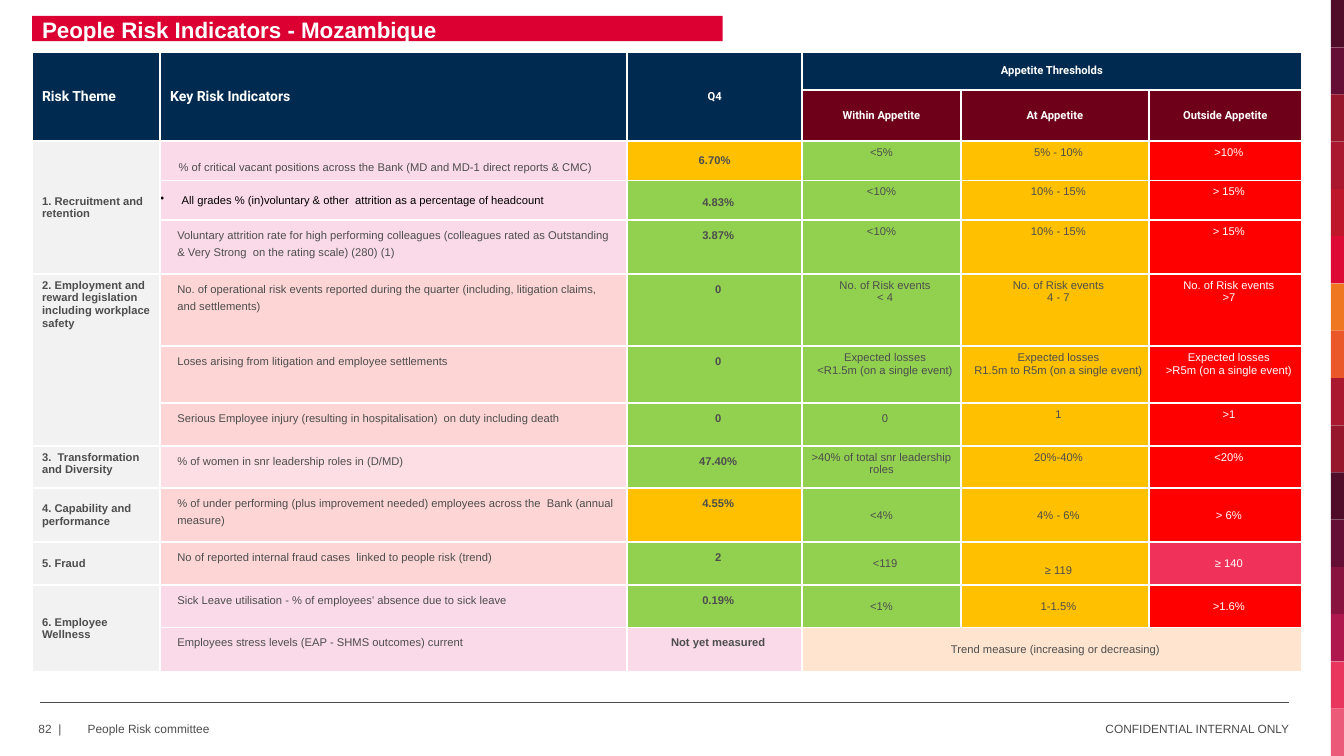
import pptx
import pptx.dml.color
import pptx.enum.shapes
import pptx.enum.text
import pptx.oxml.ns
import pptx.util
from lxml import etree

Cm, Pt = pptx.util.Cm, pptx.util.Pt
LEFT, CENTER, RIGHT = (pptx.enum.text.PP_ALIGN.LEFT, pptx.enum.text.PP_ALIGN.CENTER,
                       pptx.enum.text.PP_ALIGN.RIGHT)
TOP, MIDDLE = pptx.enum.text.MSO_ANCHOR.TOP, pptx.enum.text.MSO_ANCHOR.MIDDLE

WHITE, BLACK, GREY, PALE_GREY = "FFFFFF", "000000", "4D4D4D", "F2F2F2"
NAVY, MAROON, CRIMSON = "002A50", "6E0019", "DC0032"
GREEN, AMBER, RED, ROSE = "92D050", "FFC000", "FF0000", "F0325A"
PINK, SALMON, BLUSH, PEACH = "FADAE8", "FDD5D4", "FCDEE4", "FFE4CF"

TITLE = "People Risk Indicators - Mozambique"
FOOTERS = [  # text, left, width, alignment
    ("82  |", 0.97, 1.12, LEFT),
    ("People Risk committee", 2.21, 14, LEFT),
    ("CONFIDENTIAL INTERNAL ONLY", 18.49, 14, RIGHT),
]
STRIPES = ["500D29", "650E35", "96172B", "AA1830", "BE172B", "DC0A34", "EF7721", "EA5728",
           "AA1830", "96172B", "500D29", "650E35", "88133E", "AF184C", "E8365C", "EB5A79"]

COLUMN_WIDTHS = [3.23, 11.76, 4.42, 3.99, 4.75, 3.84]
ROW_HEIGHTS = [0.94, 1.3, 0.99, 0.99, 1.36, 1.82, 1.44, 1.07, 1.07, 1.36, 1.08, 1.07, 1.13]
HEADERS = [  # row, column, text, fill, size, alignment
    (0, 0, "Risk Theme", NAVY, 10, LEFT),
    (0, 1, "Key Risk Indicators", NAVY, 10, LEFT),
    (0, 2, "Q4", NAVY, 8, CENTER),
    (0, 3, "Appetite Thresholds", NAVY, 8, CENTER),
    (1, 3, "Within Appetite", MAROON, 8, CENTER),
    (1, 4, "At Appetite", MAROON, 8, CENTER),
    (1, 5, "Outside Appetite", MAROON, 8, CENTER),
]
THEMES = [  # first row, row count, text, anchor
    (2, 3, "1. Recruitment and retention", MIDDLE),
    (5, 3, "2. Employment and reward legislation including workplace safety", TOP),
    (8, 1, "3.  Transformation and Diversity", TOP),
    (9, 1, "4. Capability and performance", MIDDLE),
    (10, 1, "5. Fraud", MIDDLE),
    (11, 2, "6. Employee Wellness", MIDDLE),
]
INDICATORS = [  # indicator, fill, Q4 value, Q4 fill, thresholds
    ("% of critical vacant positions across the Bank (MD and MD-1 direct reports & CMC)", PINK,
     "6.70%", AMBER, ["<5%", "5% - 10%", ">10%"]),
    ("All grades % (in)voluntary & other  attrition as a percentage of headcount", PINK,
     "4.83%", GREEN, ["<10%", "10% - 15%", "> 15%"]),
    ("Voluntary attrition rate for high performing colleagues (colleagues rated as Outstanding "
     "& Very Strong  on the rating scale) (280) (1)", PINK,
     "3.87%", GREEN, ["<10%", "10% - 15%", "> 15%"]),
    ("No. of operational risk events reported during the quarter (including, litigation claims, "
     "and settlements)", SALMON, "0", GREEN,
     ["No. of Risk events\n< 4", "No. of Risk events\n4 - 7", "No. of Risk events\n>7"]),
    ("Loses arising from litigation and employee settlements", SALMON, "0", GREEN,
     ["Expected losses\n<R1.5m (on a single event)",
      "Expected losses\nR1.5m to R5m (on a single event)",
      "Expected losses\n>R5m (on a single event)"]),
    ("Serious Employee injury (resulting in hospitalisation)  on duty including death", SALMON,
     "0", GREEN, ["0", "1", ">1"]),
    ("% of women in snr leadership roles in (D/MD)", BLUSH,
     "47.40%", GREEN, [">40% of total snr leadership roles", "20%-40%", "<20%"]),
    ("% of under performing (plus improvement needed) employees across the  Bank "
     "(annual measure)", SALMON, "4.55%", AMBER, ["<4%", "4% - 6%", "> 6%"]),
    ("No of reported internal fraud cases  linked to people risk (trend)", SALMON,
     "2", GREEN, ["<119", "≥ 119", "≥ 140"]),
    ("Sick Leave utilisation - % of employees' absence due to sick leave", PINK,
     "0.19%", GREEN, ["<1%", "1-1.5%", ">1.6%"]),
    ("Employees stress levels (EAP - SHMS outcomes) current", PINK,
     "Not yet measured", PINK, ["Trend measure (increasing or decreasing)"]),
]
FIRST_INDICATOR_ROW, FIRST_MIDDLE_ROW = 2, 9
SIDE, EDGE, INDENT = 0.25, 0.13, 0.18
# Cells that depart from the style of their column, by (row, column)
EXCEPTIONS = {
    (2, 1): dict(anchor=MIDDLE, margins=(0, 0.33, 0, 0), indent=0.46, line=None),
    (3, 1): dict(anchor=MIDDLE, margins=(0, 0, 0, 0), indent=0.54, line=None, bullet=True,
                 color=BLACK),
    (2, 2): dict(anchor=MIDDLE, indent=0, line=None),
    (3, 2): dict(anchor=MIDDLE),
    (7, 3): dict(line=12),
    (10, 4): dict(margins=(0, 0.33, 0, 0)),
    (10, 5): dict(fill=ROSE),
    (12, 3): dict(fill=PEACH),
}
EXCEPTIONS.update({(row, 3): dict(indent=0) for row in (2, 3, 4, 8, 9, 11)})


def rgb(color):
    return pptx.dml.color.RGBColor.from_string(color)


def add_run(paragraph, text, size, color, bold=False, font="Arial"):
    run = paragraph.add_run()
    run.text = text
    run.font.name, run.font.size, run.font.bold = font, Pt(size), bold
    run.font.color.rgb = rgb(color)


def set_margins(box, left, top, right, bottom):
    box.margin_left, box.margin_top = Cm(left), Cm(top)
    box.margin_right, box.margin_bottom = Cm(right), Cm(bottom)


def add_block(slide, left, top, width, height, color):
    shape = slide.shapes.add_shape(pptx.enum.shapes.MSO_SHAPE.RECTANGLE,
                                   Cm(left), Cm(top), Cm(width), Cm(height))
    shape.shadow.inherit = False
    shape.fill.solid()
    shape.fill.fore_color.rgb = rgb(color)
    shape.line.fill.background()
    return shape


def set_borders(cell):
    properties = cell._tc.get_or_add_tcPr()
    for side in ("a:lnL", "a:lnR", "a:lnT", "a:lnB"):
        line = etree.SubElement(properties, pptx.oxml.ns.qn(side), w=str(Pt(1.5)))
        fill = etree.SubElement(line, pptx.oxml.ns.qn("a:solidFill"))
        etree.SubElement(fill, pptx.oxml.ns.qn("a:srgbClr"), val=WHITE)


def fill_cell(cell, text, fill, color=GREY, size=8, bold=False, font="Arial", align=CENTER,
              anchor=TOP, margins=(SIDE, EDGE, SIDE, EDGE), indent=0, line=None, bullet=False):
    cell.fill.solid()
    cell.fill.fore_color.rgb = rgb(fill)
    cell.vertical_anchor = anchor
    set_margins(cell, *margins)
    for index, words in enumerate(text.split("\n")):
        frame = cell.text_frame
        paragraph = frame.add_paragraph() if index else frame.paragraphs[0]
        paragraph.alignment = align
        if line:
            paragraph.line_spacing = Pt(line)
        properties = paragraph._p.get_or_add_pPr()
        properties.set("marL", str(Cm(indent)))
        properties.set("indent", str(-Cm(indent) if bullet else 0))
        if bullet:
            etree.SubElement(properties, pptx.oxml.ns.qn("a:buChar"), char="•")
        add_run(paragraph, words, size, color, bold, font)


def add_risk_table(slide):
    table = slide.shapes.add_table(len(ROW_HEIGHTS), len(COLUMN_WIDTHS), Cm(0.81), Cm(1.32),
                                   Cm(sum(COLUMN_WIDTHS)), Cm(sum(ROW_HEIGHTS))).table
    table.first_row = table.horz_banding = False
    for column, width in zip(table.columns, COLUMN_WIDTHS):
        column.width = Cm(width)
    for row, height in zip(table.rows, ROW_HEIGHTS):
        row.height = Cm(height)
    for cell in table.iter_cells():
        set_borders(cell)
        set_margins(cell, 0, 0, 0, 0)

    for column in range(3):
        table.cell(0, column).merge(table.cell(1, column))
    table.cell(0, 3).merge(table.cell(0, 5))
    table.cell(12, 3).merge(table.cell(12, 5))
    for row, column, text, fill, size, align in HEADERS:
        fill_cell(table.cell(row, column), text, fill, WHITE, size, True, "Roboto", align, MIDDLE)
    for row, count, text, anchor in THEMES:
        if count > 1:
            table.cell(row, 0).merge(table.cell(row + count - 1, 0))
        fill_cell(table.cell(row, 0), text, PALE_GREY, bold=True, align=LEFT, anchor=anchor)

    for row, indicator in enumerate(INDICATORS, FIRST_INDICATOR_ROW):
        name, name_fill, value, value_fill, thresholds = indicator
        styles = [dict(text=name, fill=name_fill, align=LEFT, indent=INDENT, line=12),
                  dict(text=value, fill=value_fill, bold=True, indent=INDENT, line=12)]
        middle = row >= FIRST_MIDDLE_ROW
        for text, fill, color in zip(thresholds, (GREEN, AMBER, RED), (GREY, GREY, WHITE)):
            styles.append(dict(text=text, fill=fill, color=color, indent=INDENT,
                               anchor=MIDDLE if middle else TOP,
                               margins=(0, 0, 0, 0) if middle else (0, EDGE, 0, EDGE)))
        for column, style in enumerate(styles, 1):
            style.update(EXCEPTIONS.get((row, column), {}))
            fill_cell(table.cell(row, column), **style)


def add_footer(slide):
    rule = slide.shapes.add_connector(pptx.enum.shapes.MSO_CONNECTOR.STRAIGHT,
                                      Cm(1), Cm(17.7), Cm(32.49), Cm(17.7))
    rule.line.color.rgb = rgb(GREY)
    rule.line.width = Pt(1)
    etree.SubElement(rule._element.spPr, pptx.oxml.ns.qn("a:effectLst"))
    for text, left, width, align in FOOTERS:
        frame = slide.shapes.add_textbox(Cm(left), Cm(18.16), Cm(width), Cm(0.43)).text_frame
        frame.word_wrap = True
        frame.vertical_anchor = MIDDLE
        set_margins(frame, 0, 0, 0, 0)
        frame.paragraphs[0].alignment = align
        add_run(frame.paragraphs[0], text, 8.5, GREY)


def main():
    presentation = pptx.Presentation()
    presentation.slide_width, presentation.slide_height = Cm(33.87), Cm(19.05)
    slide = presentation.slides.add_slide(presentation.slide_layouts[6])
    stripe_height = 19.05 / len(STRIPES)
    for index, color in enumerate(STRIPES):
        add_block(slide, 33.54, index * stripe_height, 0.33, stripe_height, color)
    add_footer(slide)
    add_risk_table(slide)
    frame = add_block(slide, 0.81, 0.4, 17.4, 0.64, CRIMSON).text_frame
    frame.word_wrap = True
    frame.vertical_anchor = MIDDLE
    set_margins(frame, SIDE, 0.2, SIDE, EDGE)
    frame.paragraphs[0].alignment = LEFT
    add_run(frame.paragraphs[0], TITLE, 16, WHITE, True)
    presentation.save("out.pptx")


if __name__ == "__main__":
    main()
